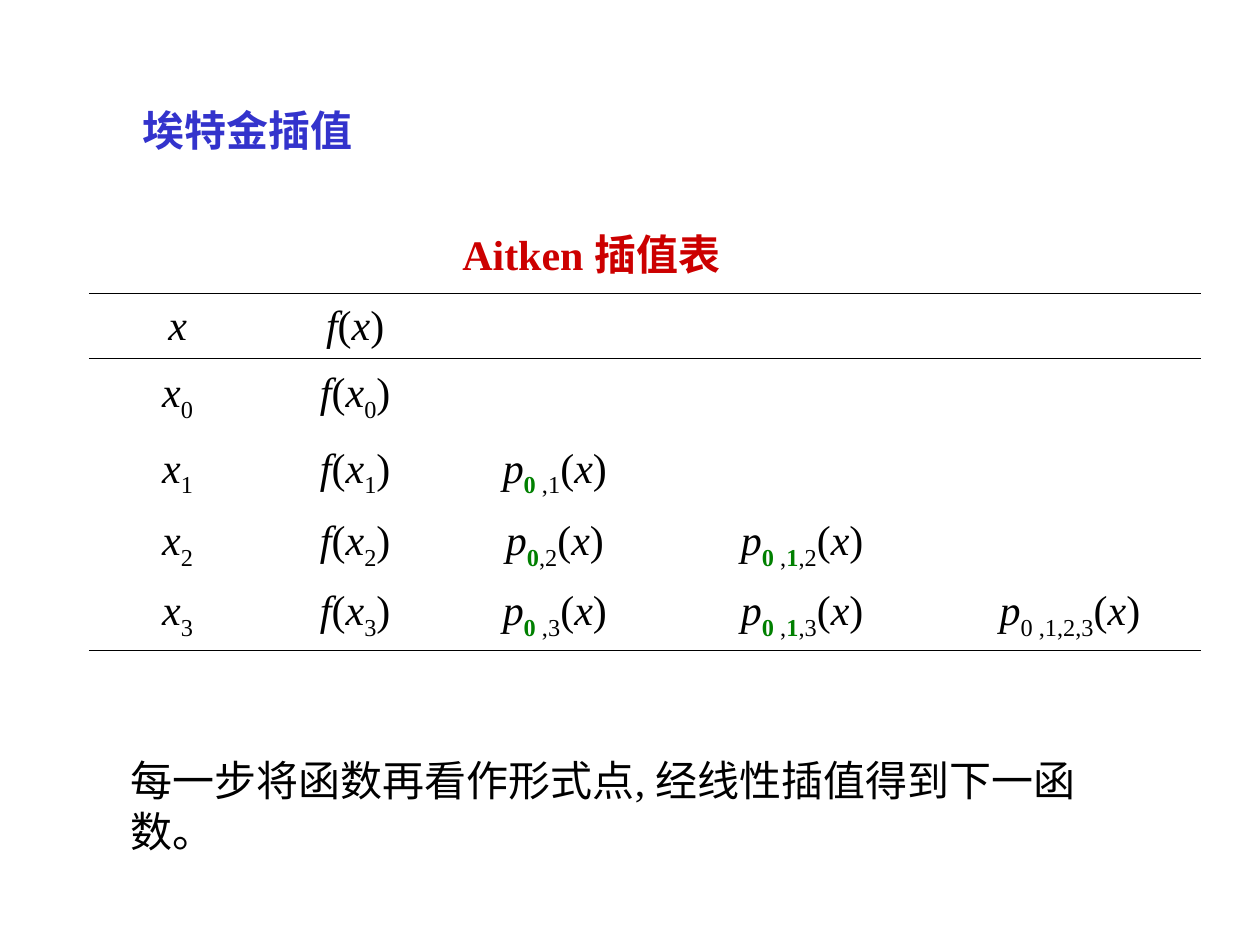
from dataclasses import dataclass

from lxml.etree import SubElement
from pptx import Presentation
from pptx.dml.color import RGBColor
from pptx.enum.text import MSO_ANCHOR, MSO_AUTO_SIZE, PP_ALIGN
from pptx.oxml.ns import qn
from pptx.util import Cm, Pt


@dataclass(frozen=True)
class Theme:
    heading: str = "3333CC"
    caption: str = "CC0000"
    ink: str = "000000"
    index: str = "008000"
    latin: str = "Times New Roman"
    chinese: str = "Noto Sans CJK SC"
    size: float = 24
    space_before: float = 6
    rule: float = 0.45
    subscript: int = -25


THEME = Theme()
NO_GRID = "{2D5ABB26-0587-4C30-8999-92F81FD0307C}"

STYLES = {
    "heading": {"name": THEME.chinese, "color": THEME.heading, "bold": True},
    "caption": {"name": THEME.latin, "color": THEME.caption, "bold": True},
    "chinese": {"name": THEME.chinese},
    "upright": {},
    "variable": {"italic": True},
    "sub": {"baseline": THEME.subscript},
    "key": {"baseline": THEME.subscript, "color": THEME.index, "bold": True},
}


def add_runs(paragraph, runs):
    for text, style in runs:
        run = paragraph.add_run()
        run.text = text
        format_values = {"name": THEME.latin, "size": Pt(THEME.size),
                         "bold": False, "italic": False,
                         "color": THEME.ink, "baseline": 0, **STYLES[style]}
        color = format_values.pop("color")
        baseline = format_values.pop("baseline")
        for attribute, value in format_values.items():
            setattr(run.font, attribute, value)
        run.font.color.rgb = RGBColor.from_string(color)
        properties = run._r.get_or_add_rPr()
        if baseline:
            properties.set("baseline", str(baseline * 1000))
        SubElement(properties, qn("a:ea"), typeface=THEME.chinese)


def add_statement(slide, box, runs, wrap=False):
    frame = slide.shapes.add_textbox(*map(Cm, box)).text_frame
    frame_values = {"word_wrap": wrap,
                    "auto_size": MSO_AUTO_SIZE.SHAPE_TO_FIT_TEXT}
    for attribute, value in frame_values.items():
        setattr(frame, attribute, value)
    paragraph = frame.paragraphs[0]
    paragraph._p.get_or_add_pPr().set("hangingPunct", "0")
    add_runs(paragraph, runs)


def node(*subscripts):
    return [("x", "variable"), *((text, "sub") for text in subscripts)]


def value(*subscripts):
    return [("f", "variable"), ("(", "upright"), *node(*subscripts),
            (")", "upright")]


def polynomial(*subscripts):
    return [("p", "variable"), *subscripts, ("(", "upright"), *node(),
            (")", "upright")]


def aitken_rows():
    zero, one = ("0", "key"), ("1", "key")
    interpolants = [
        [],
        [polynomial(zero, (" ,1", "sub"))],
        [polynomial(zero, (",2", "sub")),
         polynomial(zero, (" ,", "sub"), one, (",2", "sub"))],
        [polynomial(zero, (" ,3", "sub")),
         polynomial(zero, (" ,", "sub"), one, (",3", "sub")),
         polynomial(("0 ,1,2,3", "sub"))],
    ]
    return [[node(), value()]] + [
        [node(str(i)), value(str(i)), *terms]
        for i, terms in enumerate(interpolants)]


def add_borders(cell, ruled_sides):
    properties = cell._tc.get_or_add_tcPr()
    for side in ("lnL", "lnR", "lnT", "lnB"):
        line = SubElement(properties, qn(f"a:{side}"), w=str(Pt(THEME.rule)))
        if side in ruled_sides:
            fill = SubElement(line, qn("a:solidFill"))
            SubElement(fill, qn("a:srgbClr"), val=THEME.ink)
        else:
            SubElement(line, qn("a:noFill"))


def add_aitken_table(slide, box, widths, heights):
    rows = aitken_rows()
    table = slide.shapes.add_table(len(heights), len(widths),
                                   *map(Cm, box)).table
    for attribute in ("first_row", "horz_banding"):
        setattr(table, attribute, False)
    table._tbl.tblPr.find(qn("a:tableStyleId")).text = NO_GRID
    for column, width in zip(table.columns, widths):
        column.width = Cm(width)
    for row, height in zip(table.rows, heights):
        row.height = Cm(height)
    last = len(heights) - 1
    rules = {0: ("lnT", "lnB"), 1: ("lnT",), last: ("lnB",)}
    for r, terms in enumerate(rows):
        for c in range(len(widths)):
            cell = table.cell(r, c)
            add_borders(cell, rules.get(r, ()))
            cell.fill.background()
            cell.vertical_anchor = MSO_ANCHOR.MIDDLE
            if c < len(terms):
                paragraph = cell.text_frame.paragraphs[0]
                paragraph_values = {"alignment": PP_ALIGN.CENTER,
                                    "space_before": Pt(THEME.space_before)}
                for attribute, setting in paragraph_values.items():
                    setattr(paragraph, attribute, setting)
                add_runs(paragraph, terms[c])


def build_interpolation_slide(presentation):
    slide = presentation.slides.add_slide(presentation.slide_layouts[6])
    add_statement(slide, (2.62, 1.98, 4.85, 1.27), [("埃特金插值", "heading")])
    add_statement(slide, (9.07, 4.49, 6, 1.27),
                  [("Aitken 插值表", "caption")])
    add_aitken_table(slide, (1.79, 5.92, 22.43, 7.19),
                     widths=(3.58, 3.58, 4.47, 5.5, 5.3),
                     heights=(1.31, 1.54, 1.5, 1.42, 1.42))
    add_statement(slide, (2.39, 15.09, 20.7, 1.27),
                  [("每一步将函数再看作形式点", "chinese"), (", ", "upright"),
                   ("经线性插值得到下一函数。", "chinese")], wrap=True)


presentation = Presentation()
presentation.slide_width, presentation.slide_height = Cm(25.4), Cm(19.05)
build_interpolation_slide(presentation)
presentation.save("out.pptx")
